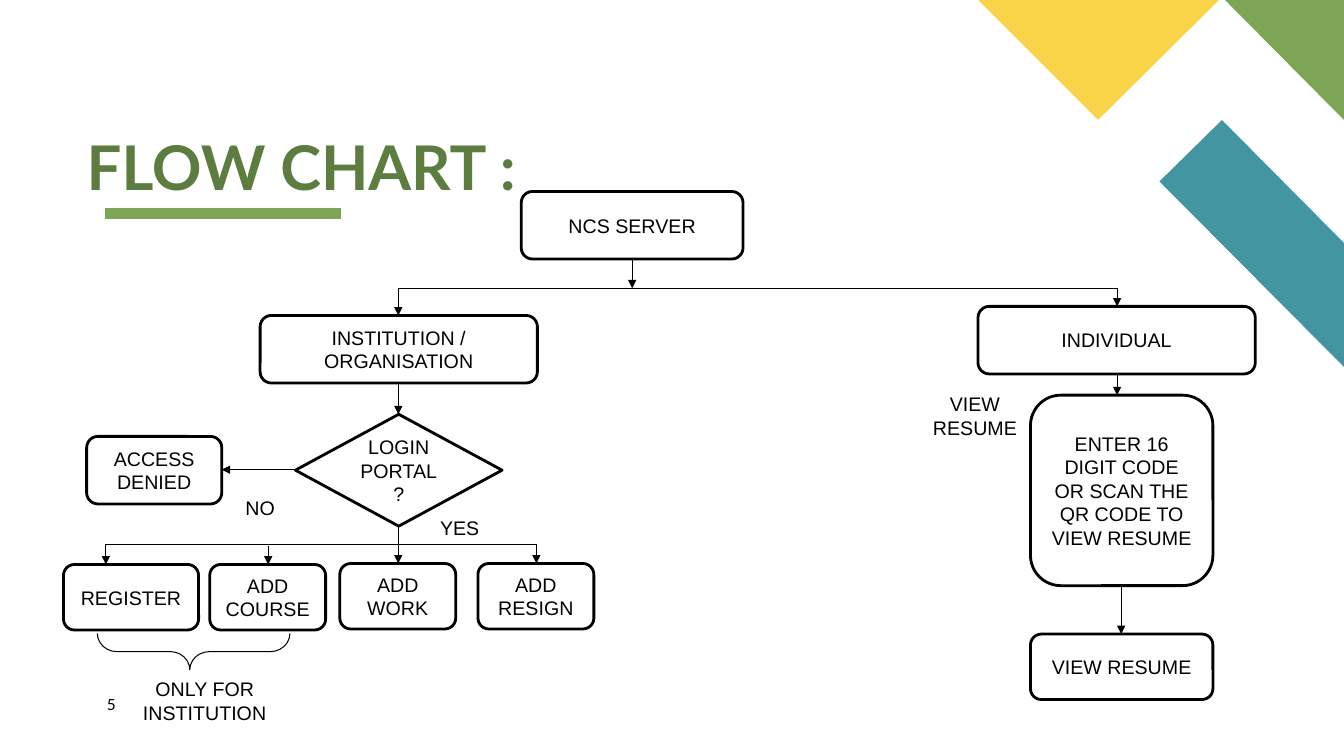
import pptx
import pptx.util
import pptx.dml.color
import pptx.enum.shapes
import pptx.enum.text
import pptx.oxml
import pptx.oxml.ns
from dataclasses import dataclass

Inches = pptx.util.Inches
Pt = pptx.util.Pt
Shape = pptx.enum.shapes.MSO_SHAPE
Anchor = pptx.enum.text.MSO_ANCHOR
Align = pptx.enum.text.PP_ALIGN


@dataclass(frozen=True)
class Theme:
    ink: str = "000000"
    paper: str = "FFFFFF"
    green: str = "7CA655"
    dark_green: str = "5D7D40"
    teal: str = "4495A2"
    yellow: str = "F9D448"
    heading_font: str = "Lato"
    body_font: str = "Arial"
    title_size: float = 44
    body_size: float = 14
    number_size: float = 11
    box_line: float = 2
    thin_line: float = 0.75
    accent_line: float = 8


def rgb(color):
    return pptx.dml.color.RGBColor.from_string(color)


class FlowSlide:
    def __init__(self, slide, theme):
        self.shapes = slide.shapes
        self.theme = theme

    def add_text(self, frame, text, size, font, color, bold=False, align=Align.CENTER):
        frame.word_wrap = True
        paragraph = frame.paragraphs[0]
        paragraph.alignment = align
        run = paragraph.add_run()
        run.text = text
        run.font.size = Pt(size)
        run.font.name = font
        run.font.bold = bold
        run.font.color.rgb = rgb(color)

    def heading(self, text, left, top, width, height, size, color, bold=False, anchor=Anchor.TOP):
        """Place left-aligned text in the heading font, without margins."""
        frame = self.shapes.add_textbox(
            Inches(left), Inches(top), Inches(width), Inches(height)).text_frame
        frame.margin_left = frame.margin_right = frame.margin_top = frame.margin_bottom = 0
        frame.vertical_anchor = anchor
        self.add_text(frame, text, size, self.theme.heading_font, color, bold, Align.LEFT)
        frame.paragraphs[0].line_spacing = 0.9

    def label(self, text, left, top, width, height):
        frame = self.shapes.add_textbox(
            Inches(left), Inches(top), Inches(width), Inches(height)).text_frame
        self.add_text(frame, text, self.theme.body_size, self.theme.body_font, self.theme.ink)

    def step(self, text, left, top, width, height, kind=Shape.ROUNDED_RECTANGLE):
        box = self.shapes.add_shape(
            kind, Inches(left), Inches(top), Inches(width), Inches(height))
        box.shadow.inherit = False
        box.fill.solid()
        box.fill.fore_color.rgb = rgb(self.theme.paper)
        box.line.color.rgb = rgb(self.theme.ink)
        box.line.width = Pt(self.theme.box_line)
        box.text_frame.vertical_anchor = Anchor.MIDDLE
        self.add_text(box.text_frame, text, self.theme.body_size,
                      self.theme.body_font, self.theme.ink)

    def brace(self, left, top, width, height):
        """Place a right brace turned to point down; the frame is given unturned."""
        brace = self.shapes.add_shape(
            Shape.RIGHT_BRACE, Inches(left), Inches(top), Inches(width), Inches(height))
        brace.rotation = 90
        brace.adjustments[0] = 0.54
        brace.adjustments[1] = 0.52
        brace.shadow.inherit = False
        brace.fill.background()
        brace.line.color.rgb = rgb(self.theme.ink)
        brace.line.width = Pt(self.theme.thin_line)

    def line(self, x1, y1, x2, y2, color=None, width=None, arrow=False):
        line = self.shapes.add_connector(
            pptx.enum.shapes.MSO_CONNECTOR.STRAIGHT,
            Inches(x1), Inches(y1), Inches(x2), Inches(y2))
        line.line.color.rgb = rgb(color or self.theme.ink)
        line.line.width = Pt(width or self.theme.thin_line)
        properties = line._element.spPr
        if arrow:
            outline = properties.find(pptx.oxml.ns.qn("a:ln"))
            outline.append(pptx.oxml.parse_xml(
                f'<a:tailEnd {pptx.oxml.ns.nsdecls("a")} type="triangle"/>'))
        properties.append(pptx.oxml.parse_xml(
            f'<a:effectLst {pptx.oxml.ns.nsdecls("a")}/>'))

    def arrow(self, x1, y1, x2, y2):
        self.line(x1, y1, x2, y2, arrow=True)

    def polygon(self, points, color):
        corners = [(Inches(x), Inches(y)) for x, y in points]
        builder = self.shapes.build_freeform(*corners[0])
        builder.add_line_segments(corners[1:], close=True)
        shape = builder.convert_to_shape()
        shape.shadow.inherit = False
        shape.fill.solid()
        shape.fill.fore_color.rgb = rgb(color)
        shape.line.fill.background()


def draw_frame(slide, theme):
    slide.line(1.04, 2.12, 3.38, 2.12, theme.green, theme.accent_line)
    slide.polygon([(13.33, 3.64), (13.33, 2.41), (12.12, 1.19), (11.5, 1.8)], theme.teal)
    slide.polygon([(13.33, 1.19), (13.33, 0), (12.15, 0)], theme.green)
    slide.polygon([(9.7, 0), (10.89, 1.19), (12.09, 0)], theme.yellow)
    slide.heading("FLOW CHART :", 0.86, 1.35, 5.4, 0.67, theme.title_size,
                  theme.dark_green, bold=True, anchor=Anchor.BOTTOM)
    slide.heading("5", 1.06, 6.92, 0.57, 0.27, theme.number_size, theme.ink)


def draw_server(slide, institution_x, individual_x):
    server_x, branch_y = 6.27, 2.86
    slide.step("NCS SERVER", 5.17, 1.9, 2.2, 0.67)
    slide.line(institution_x, branch_y, individual_x, branch_y)
    slide.arrow(server_x, 2.57, server_x, branch_y)
    slide.arrow(institution_x, branch_y, institution_x, 3.13)
    slide.arrow(individual_x, branch_y, individual_x, 3.04)


def draw_institution(slide, center_x):
    slide.step("INSTITUTION / ORGANISATION", 2.58, 3.13, 2.75, 0.67)
    slide.step("LOGIN PORTAL?", 2.93, 4.11, 2.05, 1.11, Shape.FLOWCHART_DECISION)
    slide.step("ACCESS DENIED", 0.86, 4.33, 1.34, 0.67)
    slide.arrow(center_x, 3.8, center_x, 4.11)
    slide.arrow(2.93, 4.66, 2.2, 4.66)
    slide.label("YES", 4.26, 5.07, 0.6, 0.34)
    slide.label("NO", 2.28, 4.87, 0.6, 0.34)

    actions = [  # text, left, top, width, arrow x, arrow start
        ("REGISTER", 0.63, 5.6, 1.34, 1.05, 5.4),
        ("ADD COURSE", 2.08, 5.6, 1.15, 2.66, 5.42),
        ("ADD WORK", 3.37, 5.59, 1.15, center_x, 5.22),
        ("ADD RESIGN", 4.74, 5.59, 1.15, 5.32, 5.4),
    ]
    slide.line(1.05, 5.4, 5.32, 5.4)
    for text, left, top, width, arrow_x, start_y in actions:
        slide.step(text, left, top, width, 0.65)
        slide.arrow(arrow_x, start_y, arrow_x, top)
    slide.brace(1.74, 5.51, 0.36, 1.91)
    slide.label("ONLY FOR INSTITUTION", 0.97, 6.67, 2.12, 0.57)


def draw_individual(slide, center_x):
    slide.step("INDIVIDUAL", 9.7, 3.04, 2.75, 0.67)
    slide.step("ENTER 16 DIGIT CODE OR SCAN THE QR CODE TO VIEW RESUME",
               10.22, 3.92, 1.81, 1.89)
    slide.step("VIEW RESUME", 10.22, 6.29, 1.81, 0.65)
    slide.arrow(center_x, 3.71, center_x, 3.92)
    slide.arrow(11.12, 5.81, 11.12, 6.29)
    slide.label("VIEW RESUME", 8.94, 3.84, 1.46, 0.57)


def main():
    deck = pptx.Presentation()
    deck.slide_width = Inches(13.33)
    deck.slide_height = Inches(7.5)
    theme = Theme()
    slide = FlowSlide(deck.slides.add_slide(deck.slide_layouts[6]), theme)
    institution_x, individual_x = 3.95, 11.08
    draw_frame(slide, theme)
    draw_server(slide, institution_x, individual_x)
    draw_institution(slide, institution_x)
    draw_individual(slide, individual_x)
    deck.save("out.pptx")


if __name__ == "__main__":
    main()
